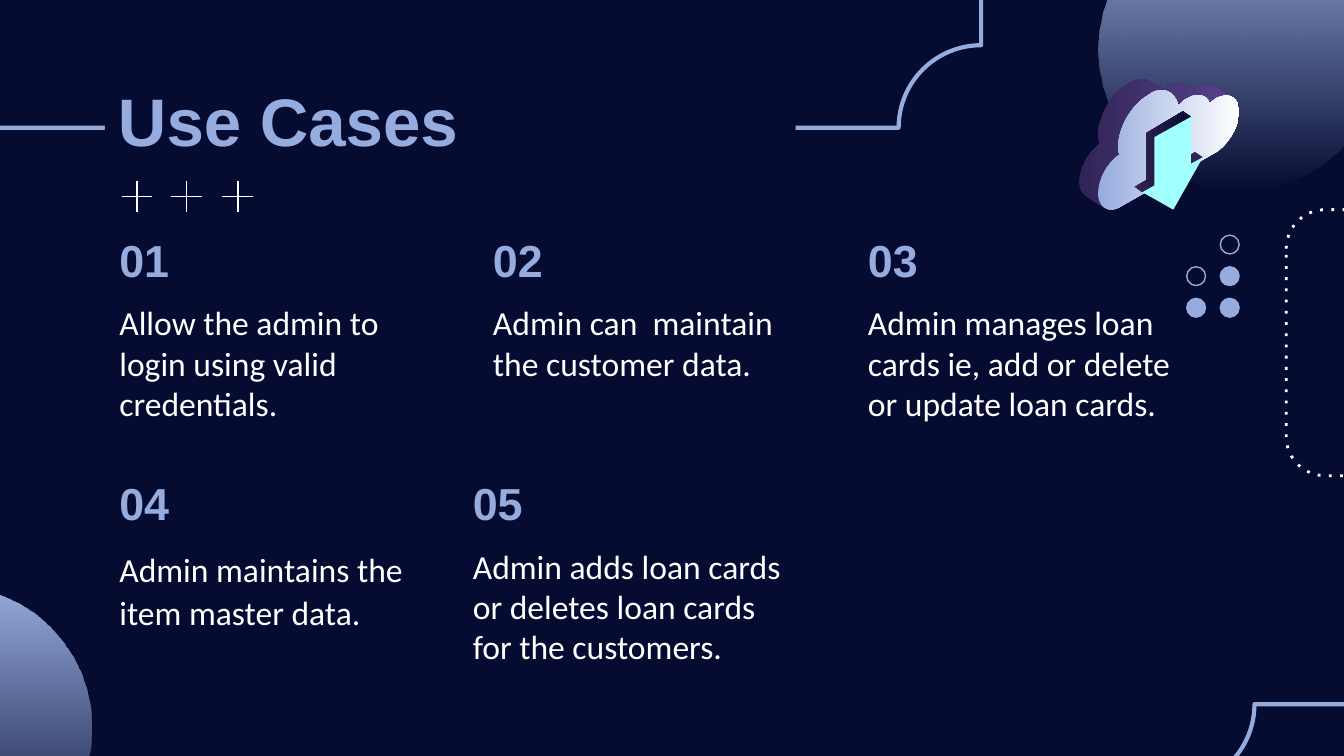
from lxml.etree import SubElement
from pptx import Presentation
from pptx.dml.color import RGBColor
from pptx.enum.dml import MSO_LINE
from pptx.enum.shapes import MSO_CONNECTOR, MSO_SHAPE as Preset
from pptx.enum.text import MSO_ANCHOR as Anchor, PP_ALIGN as Align
from pptx.oxml.ns import qn
from pptx.util import Inches, Pt

COLORS = {
    "night": "050B31", "periwinkle": "97ACDE", "white": "FFFFFF",
    "plum": "322457", "violet": "57428A", "aqua": "A1FFFD",
}
DOWN, ACROSS = 270, 0

# Card grid, in inches
COLUMNS, ROWS = (0.79, 3.57, 6.36), (1.62, 3.43)
NUMBER_SIZE, BODY_SIZE, BODY_DROP = (1.64, 0.61), (2.63, 1.08), 0.53

# number, column, row, sideways shift, text, line spacing, space after
CARDS = [
    ("01", 0, 0, 0, "Allow the admin to login using valid credentials.", None, None),
    ("02", 1, 0, 0, "Admin can  maintain the customer data.", None, None),
    ("03", 2, 0, 0, "Admin manages loan cards ie, add or delete or update loan cards.", None, None),
    ("04", 0, 1, 0, "Admin maintains the item master data.", 1.07, 8),
    ("05", 1, 1, -0.15, "Admin adds loan cards or deletes loan cards for the customers.", None, None),
]

# Outlines: a pair is a straight step, six numbers are a Bezier step
CLOUD_SIDE = [
    (8.5, 0.59), (8.47, 0.59, 8.44, 0.6, 8.4, 0.62), (8.27, 0.69, 8.17, 0.87, 8.17, 1.01),
    (8.17, 1.03, 8.18, 1.05, 8.18, 1.07), (8.1, 1.13, 8.03, 1.25, 8.03, 1.35),
    (8.03, 1.41, 8.05, 1.44, 8.08, 1.46), (8.22, 1.55),
    (8.19, 1.53, 8.17, 1.49, 8.17, 1.44), (8.17, 1.33, 8.24, 1.21, 8.33, 1.15),
    (8.32, 1.14, 8.32, 1.12, 8.32, 1.09), (8.32, 0.95, 8.42, 0.78, 8.54, 0.71),
    (8.58, 0.68, 8.61, 0.67, 8.64, 0.67), (8.65, 0.67, 8.65, 0.67, 8.65, 0.67),
    (8.64, 0.68, 8.63, 0.69, 8.62, 0.71),
    (8.77, 0.79), (8.79, 0.76, 8.81, 0.74, 8.84, 0.73), (8.86, 0.72, 8.88, 0.71, 8.89, 0.71),
    (9, 0.77), (9.02, 0.76, 9.03, 0.74, 9.05, 0.73), (9.08, 0.72, 9.1, 0.71, 9.13, 0.71),
    (9.14, 0.71, 9.16, 0.72, 9.17, 0.72), (9.02, 0.64), (9.01, 0.63, 9, 0.63, 8.98, 0.63),
    (8.96, 0.63, 8.93, 0.63, 8.9, 0.65), (8.89, 0.66, 8.89, 0.66, 8.88, 0.67), (8.82, 0.63),
    (8.8, 0.63, 8.79, 0.62, 8.77, 0.62), (8.75, 0.62, 8.72, 0.63, 8.69, 0.64),
    (8.68, 0.65, 8.67, 0.66, 8.66, 0.67), (8.56, 0.61), (8.54, 0.6, 8.52, 0.59, 8.5, 0.59),
]
CLOUD_FACE = [
    (8.64, 0.67), (8.61, 0.67, 8.58, 0.68, 8.54, 0.71), (8.42, 0.78, 8.32, 0.95, 8.32, 1.09),
    (8.32, 1.12, 8.32, 1.14, 8.33, 1.15), (8.24, 1.21, 8.17, 1.33, 8.17, 1.44),
    (8.17, 1.51, 8.21, 1.56, 8.27, 1.56), (8.29, 1.56, 8.32, 1.55, 8.35, 1.53),
    (9.05, 1.13), (9.14, 1.07, 9.22, 0.94, 9.22, 0.83), (9.22, 0.76, 9.18, 0.71, 9.12, 0.71),
    (9.1, 0.71, 9.08, 0.72, 9.05, 0.73), (9.03, 0.74, 9.02, 0.76, 9, 0.77),
    (8.99, 0.73, 8.96, 0.71, 8.92, 0.71), (8.89, 0.71, 8.87, 0.71, 8.84, 0.73),
    (8.81, 0.74, 8.79, 0.76, 8.77, 0.79), (8.75, 0.72, 8.71, 0.67, 8.64, 0.67),
]
ARROW_TIP_SIDE = [(8.89, 1.13), (8.8, 1.19), (8.86, 1.22), (8.95, 1.17)]
ARROW_SIDE = [(8.8, 0.83), (8.53, 0.99), (8.53, 1.34), (8.44, 1.39),
              (8.5, 1.43), (8.59, 1.38), (8.59, 1.02), (8.86, 0.87)]
ARROW_FACE = [(8.86, 0.87), (8.59, 1.02), (8.59, 1.38), (8.5, 1.43),
              (8.73, 1.56), (8.95, 1.17), (8.86, 1.22)]


def rgb(name):
    return RGBColor.from_string(COLORS[name])


def paint(shape, fill=None, line=None, width=0.75, angle=ACROSS):
    """Fill with one colour name, a (start, end) gradient, or nothing."""
    shape.shadow.inherit = False
    if fill is None:
        shape.fill.background()
    elif isinstance(fill, str):
        shape.fill.solid()
        shape.fill.fore_color.rgb = rgb(fill)
    else:
        shape.fill.gradient()
        shape.fill.gradient_angle = angle
        for stop, name in zip(shape.fill.gradient_stops, fill):
            stop.color.rgb = rgb(name)
    if line:
        shape.line.color.rgb = rgb(line)
        shape.line.width = Pt(width)
    else:
        shape.line.fill.background()


def add_preset(shapes, preset, box, corner=None, **look):
    shape = shapes.add_shape(preset, *map(Inches, box))
    if corner is not None:
        shape.adjustments[0] = corner
    paint(shape, **look)
    return shape


def add_fading_disc(shapes, left, top):
    disc = add_preset(shapes, Preset.OVAL, (left, top, 2.11, 2.11),
                      fill=("periwinkle", "periwinkle"), angle=DOWN)
    last_stop = list(disc._element.spPr.iter(qn("a:srgbClr")))[-1]
    SubElement(last_stop, qn("a:alpha")).set("val", "0")


def add_outline(shapes, outline, fill):
    """Draw straight steps through the end points, then bend the Bezier ones."""
    ends = [(Inches(step[-2]), Inches(step[-1])) for step in outline]
    builder = shapes.build_freeform(*ends[0])
    builder.add_line_segments(ends[1:], close=True)
    shape = builder.convert_to_shape()
    segments = list(shape._element.spPr.iter(qn("a:lnTo")))
    for segment, step in zip(segments, outline[1:]):
        if len(step) == 6:
            curve = SubElement(segment.getparent(), qn("a:cubicBezTo"))
            for x, y in zip(step[::2], step[1::2]):
                point = SubElement(curve, qn("a:pt"))
                point.set("x", str(Inches(x) - shape.left))
                point.set("y", str(Inches(y) - shape.top))
            segment.getparent().replace(segment, curve)
    paint(shape, fill)


def add_line(shapes, *ends):
    line = shapes.add_connector(MSO_CONNECTOR.STRAIGHT, *map(Inches, ends))
    line.line.color.rgb = rgb("white")
    line.line.width = Pt(0.75)
    SubElement(line._element.spPr, qn("a:effectLst"))


def write(shape, text, size, font, color, bold=False, anchor=Anchor.TOP):
    frame = shape.text_frame
    frame.word_wrap = True
    frame.vertical_anchor = anchor
    frame.margin_left = frame.margin_right = Inches(0.1)
    frame.margin_top = frame.margin_bottom = Inches(0.1)
    paragraph = frame.paragraphs[0]
    paragraph.text = text
    paragraph.alignment = Align.LEFT
    paragraph.font.size, paragraph.font.name = Pt(size), font
    paragraph.font.bold = bold
    paragraph.font.color.rgb = rgb(color)
    return paragraph


def add_card(shapes, number, column, row, shift, text, spacing, after):
    left, top = COLUMNS[column] + shift, ROWS[row]
    heading = shapes.add_textbox(*map(Inches, (left, top, *NUMBER_SIZE)))
    write(heading, number, 24, "Arial", "periwinkle", True, Anchor.BOTTOM)
    body = shapes.add_textbox(*map(Inches, (left, top + BODY_DROP, *BODY_SIZE)))
    paragraph = write(body, text, 18, "Calibri", "white")
    if spacing:
        paragraph.line_spacing = spacing
        paragraph.space_after = Pt(after)


def add_backdrop(shapes):
    add_fading_disc(shapes, 8.17, -0.69)
    dotted = add_preset(shapes, Preset.ROUNDED_RECTANGLE, (9.57, 1.56, 1.35, 1.98),
                        0.215, line="white", width=1.5)
    dotted.line.dash_style = MSO_LINE.ROUND_DOT
    dotted._element.spPr.find(".//" + qn("a:prstDash")).set("val", "dot")
    add_fading_disc(shapes, -1.43, 4.36)
    for box in ((8.72, 5.24, 2.11, 1.98), (-0.78, -1.03, 8.08, 1.98)):
        add_preset(shapes, Preset.PLAQUE, box, 0.31, line="periwinkle", width=2.25)


def add_download_cloud(shapes):
    cloud = shapes.add_group_shape().shapes
    add_outline(cloud, CLOUD_SIDE, ("plum", "violet"))
    add_outline(cloud, CLOUD_FACE, ("periwinkle", "white"))
    arrow = shapes.add_group_shape().shapes
    add_outline(arrow, ARROW_TIP_SIDE, "plum")
    add_outline(arrow, ARROW_SIDE, ("plum", "night"))
    add_outline(arrow, ARROW_FACE, "aqua")


def add_dots(shapes):
    dots = shapes.add_group_shape().shapes
    for column, row, fill in ((1, 0, None), (0, 1, None), (1, 1, "periwinkle"),
                              (0, 2, "periwinkle"), (1, 2, "periwinkle")):
        box = (8.83 + 0.25 * column, 1.75 + 0.47 * row / 2, 0.14, 0.14)
        add_preset(dots, Preset.OVAL, box, fill=fill, line="periwinkle")


def add_pluses(shapes, y=1.46, arm=0.23 / 2):
    pluses = shapes.add_group_shape().shapes
    for x in (1.02, 1.39, 1.77):
        add_line(pluses, x, y - arm, x, y + arm)
        add_line(pluses, x - arm, y, x + arm, y)


def main():
    deck = Presentation()
    deck.slide_width = Inches(10)
    deck.slide_height = deck.slide_width * 9 // 16
    slide = deck.slides.add_slide(deck.slide_layouts[6])
    slide.background.fill.solid()
    slide.background.fill.fore_color.rgb = rgb("night")
    shapes = slide.shapes

    add_backdrop(shapes)
    title = add_preset(shapes, Preset.RECTANGLE, (0.78, 0.49, 5.14, 0.81), fill="night")
    write(title, "Use Cases", 36, "Arial", "periwinkle", bold=True)
    for card in CARDS:
        add_card(shapes, *card)
    add_download_cloud(shapes)
    add_dots(shapes)
    add_pluses(shapes)
    deck.save("out.pptx")


if __name__ == "__main__":
    main()
